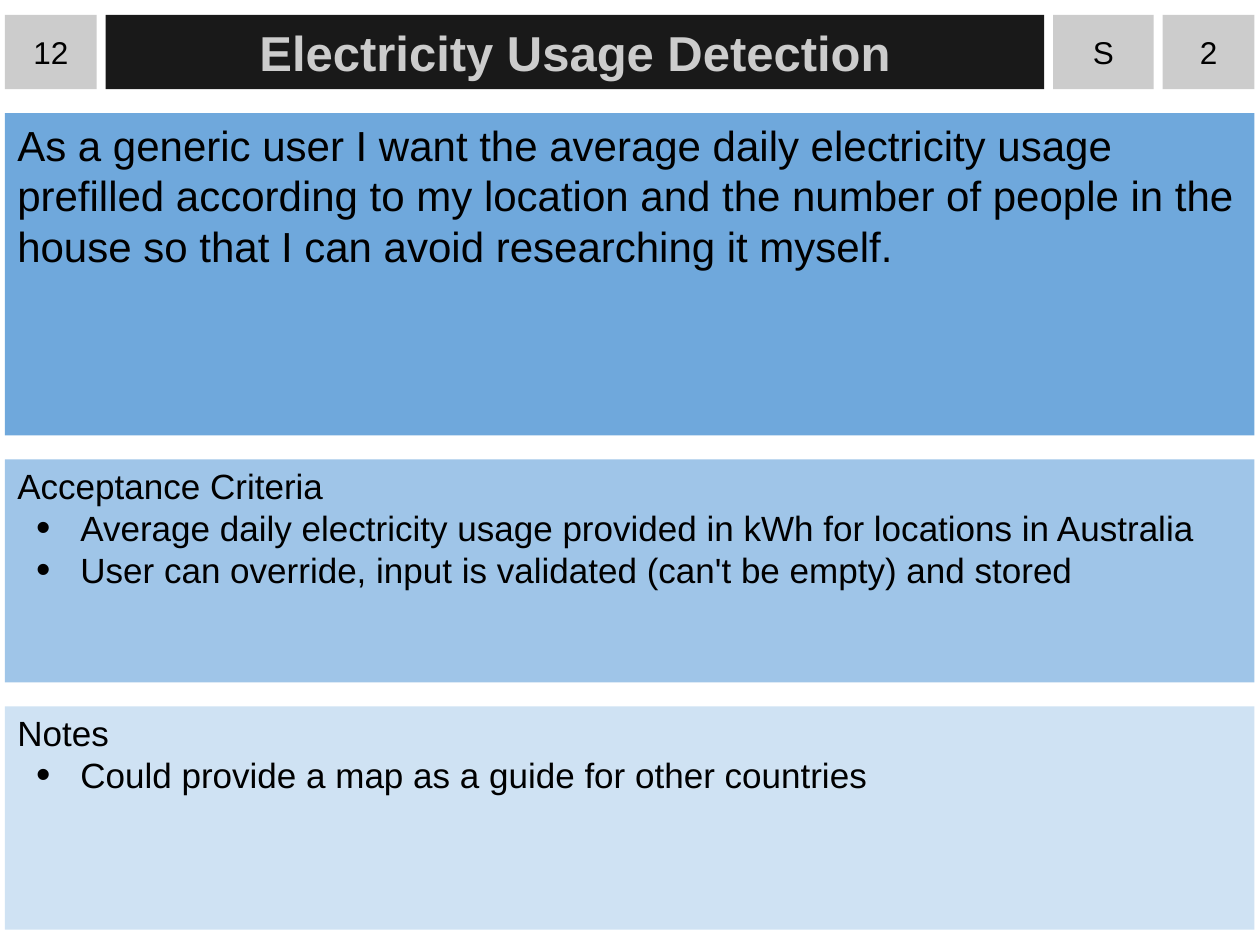
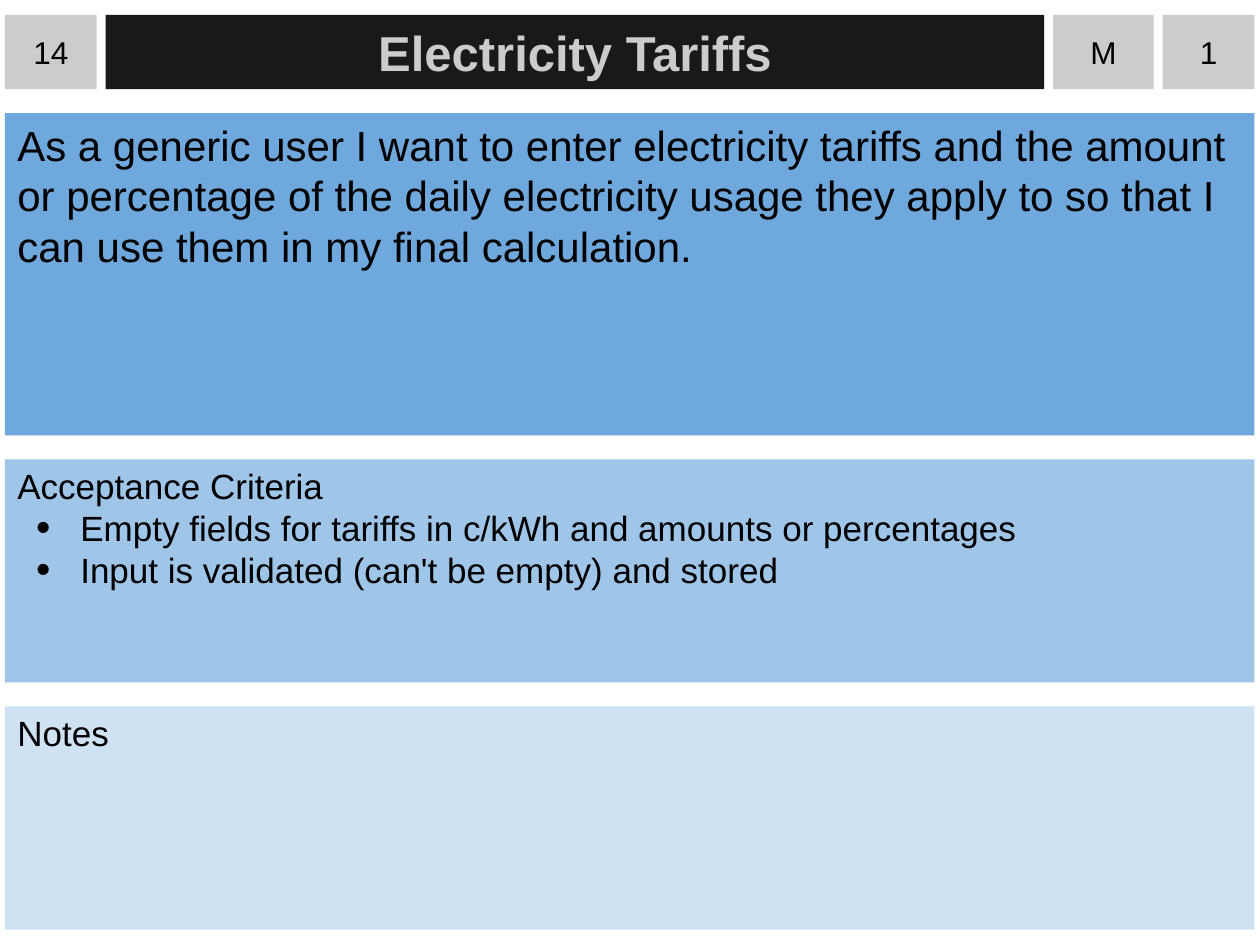
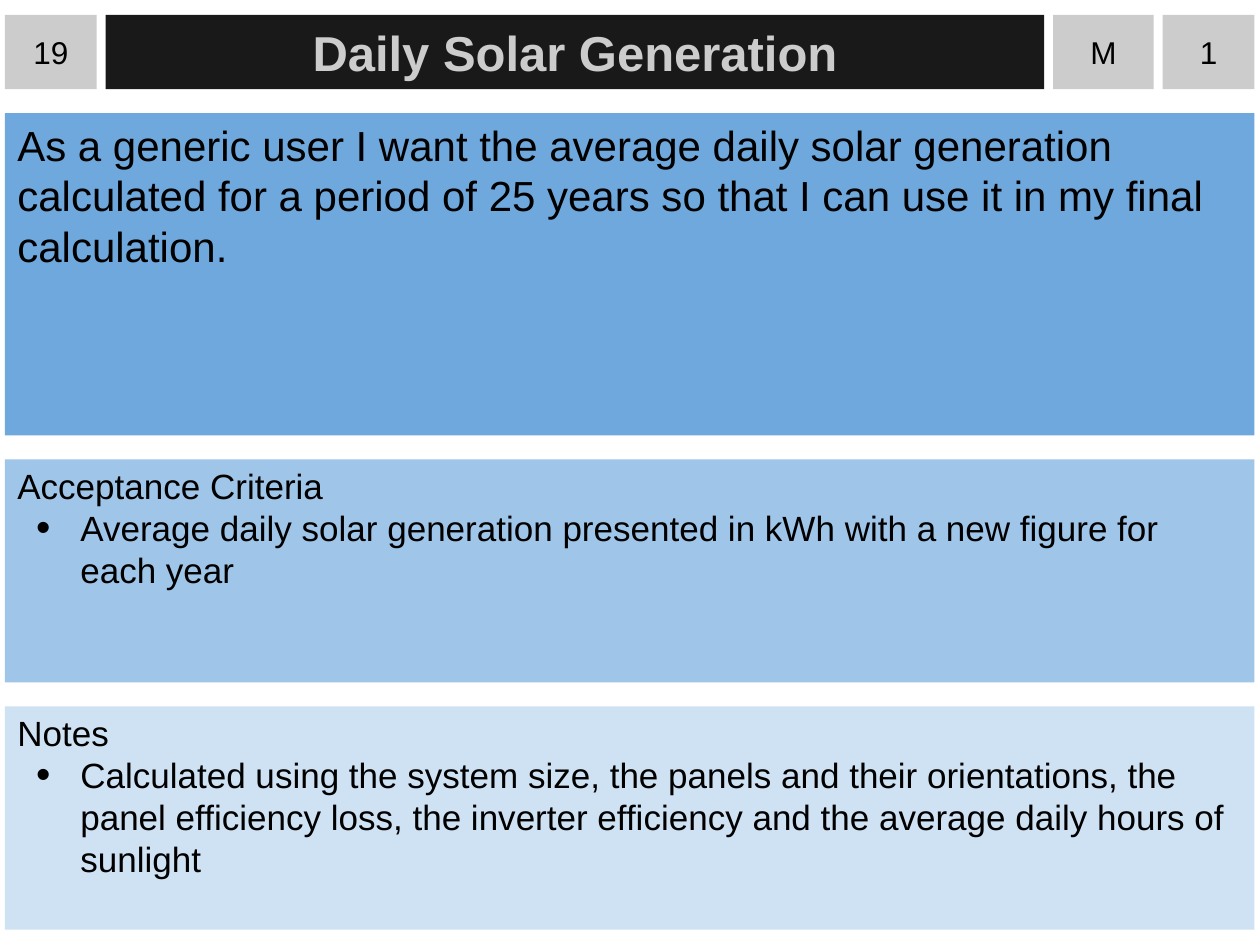
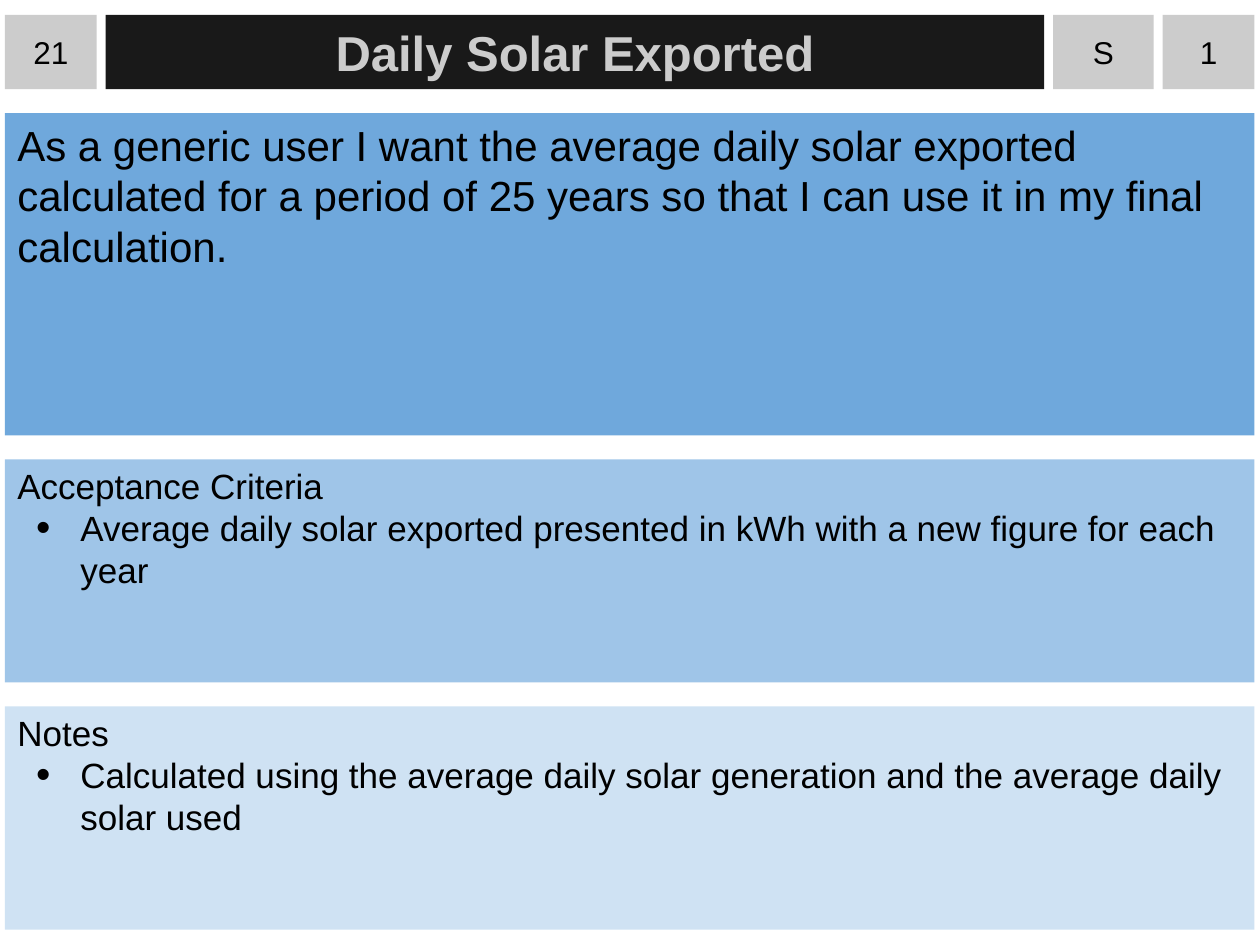
from dataclasses import dataclass

from pptx import Presentation
from pptx.dml.color import RGBColor
from pptx.enum import shapes, text
from pptx.oxml.ns import qn
from pptx.util import Cm, Pt
from lxml import etree


@dataclass(frozen=True)
class Theme:
    font: str = "Arial"
    ink: str = "000000"
    tag: str = "CCCCCC"
    title_band: str = "191919"
    story: str = "6FA8DC"
    criteria: str = "9FC5E8"
    notes: str = "CFE2F3"
    title_size: int = 28
    story_size: int = 24
    list_size: int = 20
    tag_size: int = 18


T = Theme()

# Card grid, in centimetres
LEFT, TOP = 0.1, 0.3
COL_GAP, ROW_GAP = 0.18, 0.48
COLS = (1.85, 18.92, 2.03, 1.85)  # number, title, priority, estimate
ROWS = (1.5, 6.5, 4.5, 4.5)  # header, story, criteria, notes
FULL_WIDTH = sum(COLS) + COL_GAP * (len(COLS) - 1)

# Number, title, priority, estimate, story, acceptance criteria, notes
CARDS = [
    ("12", "Electricity Usage Detection", "S", "2",
     "As a generic user I want the average daily electricity usage prefilled "
     "according to my location and the number of people in the house so that "
     "I can avoid researching it myself.",
     ["Average daily electricity usage provided in kWh for locations in Australia",
      "User can override, input is validated (can't be empty) and stored"],
     ["Could provide a map as a guide for other countries"]),
    ("14", "Electricity Tariffs", "M", "1",
     "As a generic user I want to enter electricity tariffs and the amount or "
     "percentage of the daily electricity usage they apply to so that I can "
     "use them in my final calculation.",
     ["Empty fields for tariffs in c/kWh and amounts or percentages",
      "Input is validated (can't be empty) and stored"],
     []),
    ("19", "Daily Solar Generation", "M", "1",
     "As a generic user I want the average daily solar generation calculated "
     "for a period of 25 years so that I can use it in my final calculation.",
     ["Average daily solar generation presented in kWh with a new figure for "
      "each year"],
     ["Calculated using the system size, the panels and their orientations, "
      "the panel efficiency loss, the inverter efficiency and the average "
      "daily hours of sunlight"]),
    ("21", "Daily Solar Exported", "S", "1",
     "As a generic user I want the average daily solar exported calculated "
     "for a period of 25 years so that I can use it in my final calculation.",
     ["Average daily solar exported presented in kWh with a new figure for "
      "each year"],
     ["Calculated using the average daily solar generation and the average "
      "daily solar used"]),
]


def starts(first, sizes, gap):
    """Return where each cell begins when cells are laid end to end."""
    return [first + sum(sizes[:i]) + gap * i for i in range(len(sizes))]


COL_X = starts(LEFT, COLS, COL_GAP)
ROW_Y = starts(TOP, ROWS, ROW_GAP)


def header_cell(col):
    return [Cm(v) for v in (COL_X[col], TOP, COLS[col], ROWS[0])]


def body_cell(row):
    return [Cm(v) for v in (LEFT, ROW_Y[row], FULL_WIDTH, ROWS[row])]


def fill_box(sp, fill, lines, size, color=T.ink, bold=False, centred=False,
             side=0.25, top=0.13):
    """Colour a shape and write its paragraphs in one style."""
    sp.fill.solid()
    sp.fill.fore_color.rgb = RGBColor.from_string(fill)
    tf = sp.text_frame
    tf.word_wrap = True
    tf.auto_size = text.MSO_AUTO_SIZE.NONE
    tf.margin_left = tf.margin_right = Cm(side)
    tf.margin_top, tf.margin_bottom = Cm(top), Cm(0.13)
    tf.vertical_anchor = text.MSO_ANCHOR.MIDDLE if centred else text.MSO_ANCHOR.TOP
    tf.text = "\n".join(lines)
    for p in tf.paragraphs:
        p.alignment = text.PP_ALIGN.CENTER if centred else text.PP_ALIGN.LEFT
        for r in p.runs:
            r.font.name, r.font.size, r.font.bold = T.font, Pt(size), bold
            r.font.color.rgb = RGBColor.from_string(color)


def add_box(s, cell, fill, lines, size, **style):
    sp = s.shapes.add_shape(shapes.MSO_SHAPE.RECTANGLE, *cell)
    sp.shadow.inherit = False
    sp.line.fill.background()
    fill_box(sp, fill, lines, size, **style)
    return sp


def add_bullet(p):
    pPr = p._p.get_or_add_pPr()
    pPr.set("marL", str(Cm(1.27)))
    pPr.set("indent", str(Cm(-0.89)))
    color = etree.SubElement(pPr, qn("a:buClr"))
    etree.SubElement(color, qn("a:srgbClr"), val=T.ink)
    etree.SubElement(pPr, qn("a:buSzPct"), val="117000")
    etree.SubElement(pPr, qn("a:buFont"), typeface=T.font)
    etree.SubElement(pPr, qn("a:buChar"), char="•")


def add_title(s, title):
    sp = s.shapes.title
    sp.left, sp.top, sp.width, sp.height = header_cell(1)
    fill_box(sp, T.title_band, [title], T.title_size, color=T.tag, bold=True,
             centred=True)


def add_tag(s, col, label):
    add_box(s, header_cell(col), T.tag, [label], T.tag_size, centred=True, side=0)


def add_list(s, row, fill, heading, items):
    sp = add_box(s, body_cell(row), fill, [heading, *items], T.list_size, top=0.1)
    for p in sp.text_frame.paragraphs[1:]:
        add_bullet(p)


def add_card(prs, number, title, priority, estimate, story, criteria, notes):
    s = prs.slides.add_slide(prs.slide_layouts[5])
    # Header band
    add_title(s, title)
    for col, label in ((0, number), (2, priority), (3, estimate)):
        add_tag(s, col, label)
    # Body panels
    add_box(s, body_cell(1), T.story, [story], T.story_size)
    add_list(s, 2, T.criteria, "Acceptance Criteria", criteria)
    add_list(s, 3, T.notes, "Notes", notes)


def main():
    prs = Presentation()
    prs.slide_width, prs.slide_height = Cm(25.4), Cm(19.05)
    for card in CARDS:
        add_card(prs, *card)
    prs.save("out.pptx")


if __name__ == "__main__":
    main()
